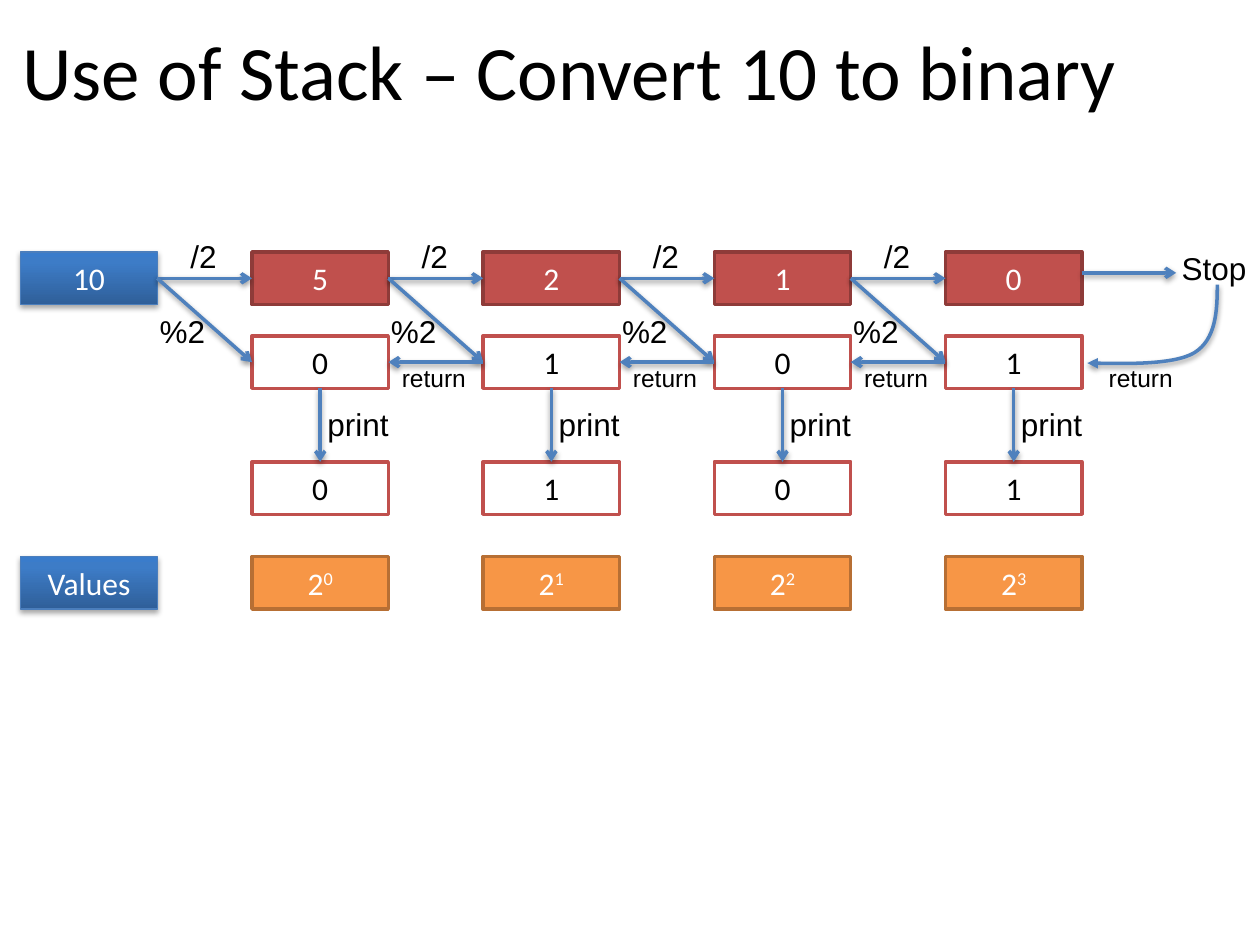
from copy import deepcopy

from lxml.etree import SubElement
from pptx import Presentation
from pptx.dml.color import RGBColor as Rgb
from pptx.enum.shapes import MSO_CONNECTOR as Connector, MSO_SHAPE as Shape
from pptx.enum.text import MSO_ANCHOR as Anchor, MSO_AUTO_SIZE as AutoSize, PP_ALIGN as Align
from pptx.oxml.ns import qn
from pptx.util import Cm, Pt

COLORS = {
    "black": "000000", "white": "FFFFFF", "arrow": "4F81BD",
    "red": "C0504D", "dark_red": "8E3B39",
    "orange": "F79646", "dark_orange": "B76F34", "blue_edge": "4B7EBC",
}
BLUE_STOPS = [(0, "2F5F99"), (0.8, "3D7CC7"), (1, "3A7CCB")]
BOX_STYLES = {
    "start": {"fill": None, "edge": "blue_edge", "width": 0.75, "text": "white"},
    "quotient": {"fill": "red", "edge": "dark_red", "width": 2, "text": "white"},
    "digit": {"fill": "white", "edge": "red", "width": 2, "text": "black"},
    "value": {"fill": "orange", "edge": "dark_orange", "width": 2, "text": "white"},
}
TOP, LEFT, BOTTOM, RIGHT = range(4)
BOX_WIDTH, BOX_HEIGHT = 2.75, 1.06
FIRST_LEFT, PITCH = 0.42, 4.66
ROWS = {"quotient": 5.08, "remainder": 6.77, "output": 9.31, "value": 11.22}
STEPS = [("5", "0"), ("2", "1"), ("1", "0"), ("0", "1")]
RETURN_CURVE = [(24.54, 5.74), (24.54, 6.28), (24.51, 6.84), (24.08, 7.11),
                (23.65, 7.37), (21.92, 7.32), (21.92, 7.32)]


class StackSlide:
    def __init__(self, deck):
        self.page = deck.slides.add_slide(deck.slide_layouts[5])
        self.shapes = self.page.shapes

    def color(self, name):
        return Rgb.from_string(COLORS[name])

    def add_span(self, para, text, font="Calibri", size=18, color="black", raised=False):
        span = para.add_run()
        span.text = text
        for name, value in {"name": font, "size": Pt(size)}.items():
            setattr(span.font, name, value)
        span.font.color.rgb = self.color(color)
        if raised:
            span._r.get_or_add_rPr().set("baseline", "30000")

    def title(self, text):
        box = self.shapes.title
        place = {"left": 0.2, "top": 0.2, "width": 24.77, "height": 2.41}
        for name, value in place.items():
            setattr(box, name, Cm(value))
        box.text_frame.vertical_anchor = Anchor.MIDDLE
        para = box.text_frame.paragraphs[0]
        para.alignment = Align.LEFT
        self.add_span(para, text, size=44)

    def shade(self, shape, alpha, distance):
        effects = SubElement(shape.element.find(qn("p:spPr")), qn("a:effectLst"))
        shadow = SubElement(effects, qn("a:outerShdw"), blurRad="40000",
                            dist=str(distance), dir="5400000", rotWithShape="0")
        tint = SubElement(shadow, qn("a:srgbClr"), val=COLORS["black"])
        SubElement(tint, qn("a:alpha"), val=str(alpha * 1000))

    def blend(self, box):
        box.fill.gradient()
        box.fill.gradient_angle = 90
        stop_list = box.element.find(".//" + qn("a:gsLst"))
        stop_list.append(deepcopy(stop_list[-1]))
        for stop, (position, shade) in zip(box.fill.gradient_stops, BLUE_STOPS):
            stop.position = position
            stop.color.rgb = Rgb.from_string(shade)

    def box(self, left, top, text, kind, power=None):
        style = BOX_STYLES[kind]
        box = self.shapes.add_shape(Shape.RECTANGLE, Cm(left), Cm(top),
                                    Cm(BOX_WIDTH), Cm(BOX_HEIGHT))
        box.line.color.rgb = self.color(style["edge"])
        box.line.width = Pt(style["width"])
        if style["fill"]:
            box.fill.solid()
            box.fill.fore_color.rgb = self.color(style["fill"])
            box.shadow.inherit = False
        else:
            self.blend(box)
            self.shade(box, 35, 23000)
        box.text_frame.vertical_anchor = Anchor.MIDDLE
        para = box.text_frame.paragraphs[0]
        para.alignment = Align.CENTER
        self.add_span(para, text, color=style["text"])
        if power is not None:
            self.add_span(para, power, color=style["text"], raised=True)
        return box

    def label(self, left, top, text, width, size=18):
        height = 1.02 if size == 18 else 0.86
        box = self.shapes.add_textbox(Cm(left), Cm(top), Cm(width), Cm(height))
        for name, value in {"word_wrap": False, "auto_size": AutoSize.SHAPE_TO_FIT_TEXT}.items():
            setattr(box.text_frame, name, value)
        self.add_span(box.text_frame.paragraphs[0], text, font="Arial", size=size)

    def finish_arrow(self, shape, head):
        shape.line.color.rgb = self.color("arrow")
        shape.line.width = Pt(2)
        SubElement(shape.element.find(".//" + qn("a:ln")), qn("a:tailEnd"), type=head)
        self.shade(shape, 38, 20000)

    def arrow(self, start=(0, 0), end=(0, 0)):
        points = [Cm(value) for value in (*start, *end)]
        return self.shapes.add_connector(Connector.STRAIGHT, *points)

    def join(self, source, source_side, target, target_side):
        arrow = self.arrow()
        arrow.begin_connect(source, source_side)
        arrow.end_connect(target, target_side)
        self.finish_arrow(arrow, "arrow")

    def free_arrow(self, start, end):
        self.finish_arrow(self.arrow(start, end), "arrow")

    def curve(self, points):
        start, *others = [(Cm(x), Cm(y)) for x, y in points]
        builder = self.shapes.build_freeform(*start)
        builder.add_line_segments(others, close=False)
        shape = builder.convert_to_shape()
        segments = list(shape.element.iter(qn("a:lnTo")))
        outline = segments[0].getparent()
        for first in range(0, len(segments), 3):
            bend = SubElement(outline, qn("a:cubicBezTo"))
            for segment in segments[first:first + 3]:
                bend.append(segment[0])
                outline.remove(segment)
        shape.fill.background()
        self.finish_arrow(shape, "triangle")


def main():
    deck = Presentation()
    deck.slide_width, deck.slide_height = Cm(25.4), Cm(19.05)
    slide = StackSlide(deck)
    slide.title("Use of Stack – Convert 10 to binary")

    source = slide.box(FIRST_LEFT, ROWS["quotient"], "10", "start")
    slide.box(FIRST_LEFT, ROWS["value"], "Values", "start")
    previous_digit = None
    for step, (quotient, remainder) in enumerate(STEPS):
        left = FIRST_LEFT + PITCH * (step + 1)
        gap_left = left - PITCH + BOX_WIDTH
        digit = slide.box(left, ROWS["remainder"], remainder, "digit")
        result = slide.box(left, ROWS["quotient"], quotient, "quotient")
        output = slide.box(left, ROWS["output"], remainder, "digit")
        slide.box(left, ROWS["value"], "2", "value", power=str(step))
        slide.join(source, RIGHT, result, LEFT)
        slide.join(source, RIGHT, digit, LEFT)
        slide.join(digit, BOTTOM, output, TOP)
        slide.label(gap_left + 0.42, 4.66, "/2", 1.04)
        slide.label(gap_left - 0.2, 6.17, "%2", 1.45)
        slide.label(left + 1.27, 8.05, "print", 1.75)
        if previous_digit:
            slide.join(digit, LEFT, previous_digit, RIGHT)
            slide.label(gap_left + 0.02, 7.19, "return", 1.8, size=14)
        source, previous_digit = result, digit

    last_right = left + BOX_WIDTH
    slide.free_arrow((last_right, 5.5), (last_right + 1.9, 5.5))
    slide.label(23.57, 4.9, "Stop", 1.83)
    slide.curve(RETURN_CURVE)
    slide.label(last_right + 0.29, 7.19, "return", 1.8, size=14)
    deck.save("out.pptx")


if __name__ == "__main__":
    main()
